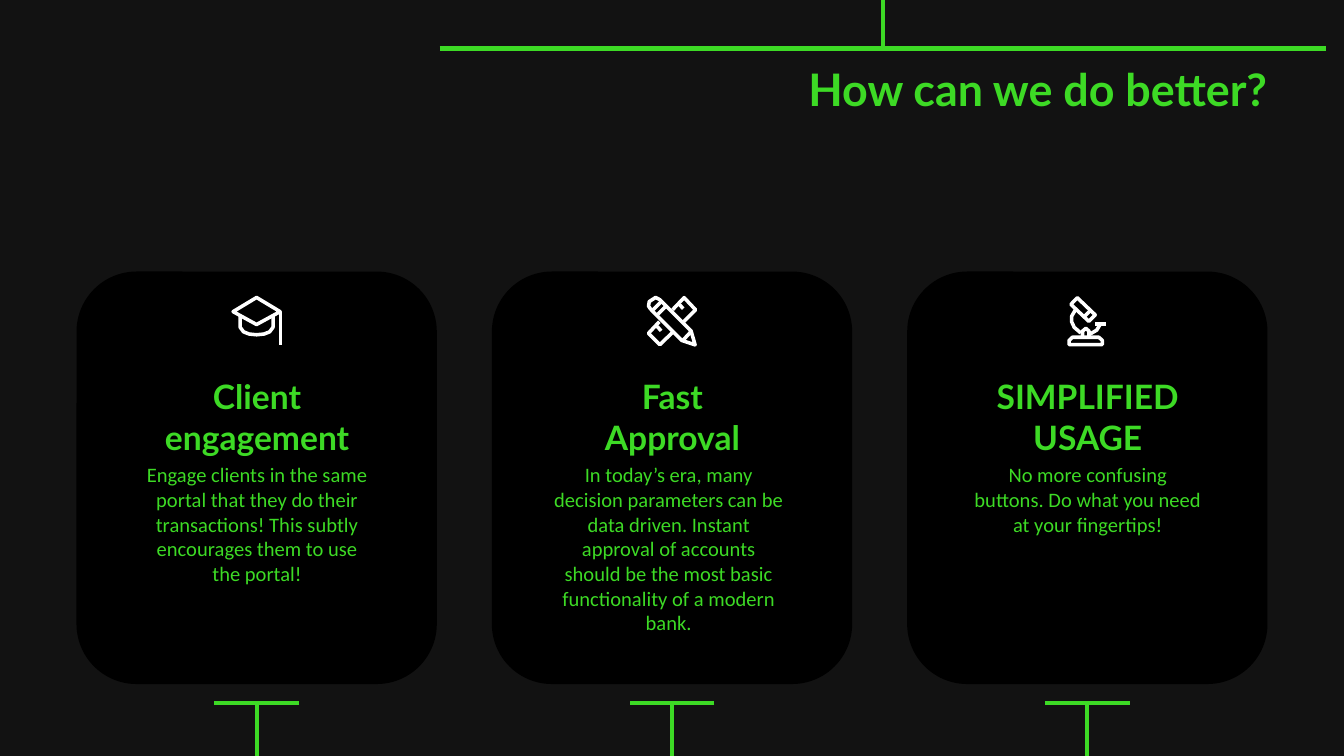
import pptx
import pptx.dml.color
import pptx.enum.shapes
import pptx.enum.text
import pptx.oxml.ns
import pptx.util
from lxml import etree

Pt = pptx.util.Pt
Align = pptx.enum.text.PP_ALIGN
Anchor = pptx.enum.text.MSO_ANCHOR

SLIDE_W, SLIDE_H = 720, 405
CARD_W, CARD_H, CARD_TOP, CARD_PITCH = 193, 221, 145.5, 222.5
ICON_TOP = 158.4
FOOT_Y = 376.5

CAP = [
    [(0, 10), (126, 86), (0, 155), (-126, 86), (0, 10)],
    [(129, 86), (129, 265)],
    [(-88, 105), (-88, 170), (-70, 194), (-40, 206), (0, 210),
     (40, 206), (70, 194), (88, 170), (88, 105)],
]
PENCIL_AND_RULER = [
    [(-88, 10), (-122, 32), (-126, 56), (-115, 72), (52, 240),
     (124, 264), (102, 189), (-65, 22), (-88, 10)],
    [(-100, 75), (-60, 35)],
    [(-76, 100), (-36, 60)],
    [(58, 240), (100, 195)],
    [(-68, 140), (-126, 202), (-65, 263), (5, 195)],
    [(-80, 165), (-58, 189)],
    [(3, 76), (65, 11), (126, 76), (63, 140)],
    [(40, 48), (60, 70)],
]
MICROSCOPE = [
    [(-54, 11), (42, 103), (8, 138), (-88, 47), (-54, 11)],
    [(-14, 110), (20, 76)],
    [(-63, 75), (-84, 110), (-84, 140), (-70, 170), (-35, 200)],
    [(43, 153), (100, 153)],
    [(68, 155), (50, 185), (12, 207)],
    [(-26, 220), (-26, 190), (-8, 175), (9, 190), (9, 220)],
    [(-98, 262), (-98, 240), (-80, 223), (62, 223), (80, 240),
     (80, 262), (-98, 262)],
]

CARDS = [
    ("Client engagement",
     "Engage clients in the same portal that they do their transactions! "
     "This subtly encourages them to use the portal!", 69, 23, CAP),
    ("Fast\nApproval",
     "In today’s era, many decision parameters can be data driven. Instant "
     "approval of accounts should be the most basic functionality of a "
     "modern bank.", 289.5, 114.5, PENCIL_AND_RULER),
    ("SIMPLIFIED\nUSAGE",
     "No more confusing buttons. Do what you need at your fingertips!",
     514, 23, MICROSCOPE),
]


def color(value):
    return pptx.dml.color.RGBColor.from_string(value)


class Deck:
    green = "3DDA25"
    white = "FFFFFF"
    black = "000000"
    backdrop = "121212"
    heading_font = "Lato"
    body_font = "Calibri"
    rule_width = 2.25
    icon_width = 1.9

    def __init__(self, width, height):
        self.presentation = pptx.Presentation()
        self.presentation.slide_width = Pt(width)
        self.presentation.slide_height = Pt(height)

    def add_slide(self, layout):
        self.slide = self.presentation.slides.add_slide(
            self.presentation.slide_layouts[layout])
        fill = self.slide.background.fill
        fill.solid()
        fill.fore_color.rgb = color(self.backdrop)

    def rule(self, x1, y1, x2, y2):
        rule = self.slide.shapes.add_connector(
            pptx.enum.shapes.MSO_CONNECTOR.STRAIGHT, Pt(x1), Pt(y1), Pt(x2), Pt(y2))
        rule.line.color.rgb = color(self.green)
        rule.line.width = Pt(self.rule_width)
        properties = rule.element.find(pptx.oxml.ns.qn("p:spPr"))
        etree.SubElement(properties, pptx.oxml.ns.qn("a:effectLst"))

    def card(self, left, top, width, height):
        card = self.slide.shapes.add_shape(
            pptx.enum.shapes.MSO_SHAPE.ROUNDED_RECTANGLE,
            Pt(left), Pt(top), Pt(width), Pt(height))
        card.shadow.inherit = False
        card.fill.solid()
        card.fill.fore_color.rgb = color(self.black)
        card.line.fill.background()

    def icon(self, center, top, strokes):
        builder = self.slide.shapes.build_freeform(*strokes[0][0], scale=Pt(0.1))
        for index, stroke in enumerate(strokes):
            if index:
                builder.move_to(*stroke[0])
            builder.add_line_segments(stroke[1:], close=False)
        icon = builder.convert_to_shape(Pt(center), Pt(top))
        icon.shadow.inherit = False
        icon.fill.background()
        icon.line.color.rgb = color(self.white)
        icon.line.width = Pt(self.icon_width)

    def set_text(self, holder, text, size, font, bold, align, anchor):
        frame = holder.text_frame
        frame.text = text
        frame.word_wrap = True
        frame.auto_size = pptx.enum.text.MSO_AUTO_SIZE.NONE
        frame.vertical_anchor = anchor
        frame.margin_left = frame.margin_right = Pt(7.2)
        frame.margin_top = frame.margin_bottom = Pt(7.2)
        for paragraph in frame.paragraphs:
            settings = paragraph._p.get_or_add_pPr()
            settings.set("marL", "0")
            settings.set("indent", "0")
            etree.SubElement(settings, pptx.oxml.ns.qn("a:buNone"))
            paragraph.alignment = align
            paragraph.space_before = Pt(0)
            for run in paragraph.runs:
                run.font.size = Pt(size)
                run.font.name = font
                run.font.bold = bold
                run.font.color.rgb = color(self.green)

    def place(self, index, left, top, width, height):
        holder = next(p for p in self.slide.placeholders
                      if p.placeholder_format.idx == index)
        holder.left, holder.top = Pt(left), Pt(top)
        holder.width, holder.height = Pt(width), Pt(height)
        holder.element.getparent().append(holder.element)
        return holder

    def title(self, text, left, top, width, height):
        holder = self.place(0, left, top, width, height)
        self.set_text(holder, text, 24, self.heading_font, True, Align.RIGHT, Anchor.TOP)

    def body(self, index, text, left, top, width, height):
        holder = self.place(index, left, top, width, height)
        self.set_text(holder, text, 11, self.body_font, False, Align.CENTER, Anchor.TOP)

    def heading(self, text, left, top, width, height):
        holder = self.slide.shapes.add_textbox(Pt(left), Pt(top), Pt(width), Pt(height))
        self.set_text(holder, text, 18, self.heading_font, True, Align.CENTER, Anchor.BOTTOM)

    def remove_empty(self):
        for holder in list(self.slide.placeholders):
            if not holder.text_frame.text:
                holder.element.getparent().remove(holder.element)

    def save(self):
        self.presentation.save("out.pptx")


def main():
    deck = Deck(SLIDE_W, SLIDE_H)
    deck.add_slide(4)
    deck.rule(235.5, 26, 710.5, 26)
    deck.rule(473, 0, 473, 26)
    deck.title("How can we do better?", 260, 26, 426, 38)

    for number, (heading, detail, detail_left, detail_height, icon) in enumerate(CARDS):
        center = SLIDE_W / 2 + (number - 1) * CARD_PITCH
        deck.card(center - CARD_W / 2, CARD_TOP, CARD_W, CARD_H)
        deck.rule(center, SLIDE_H, center, FOOT_Y)
        deck.rule(center + 22.75, FOOT_Y, center - 22.75, FOOT_Y)
        deck.icon(center, ICON_TOP, icon)
        deck.heading(heading, center - 74.25, 221, 149, 31)
        deck.body(number + 1, detail, detail_left, 240.5, 137.5, detail_height)

    deck.remove_empty()
    deck.save()


if __name__ == "__main__":
    main()
